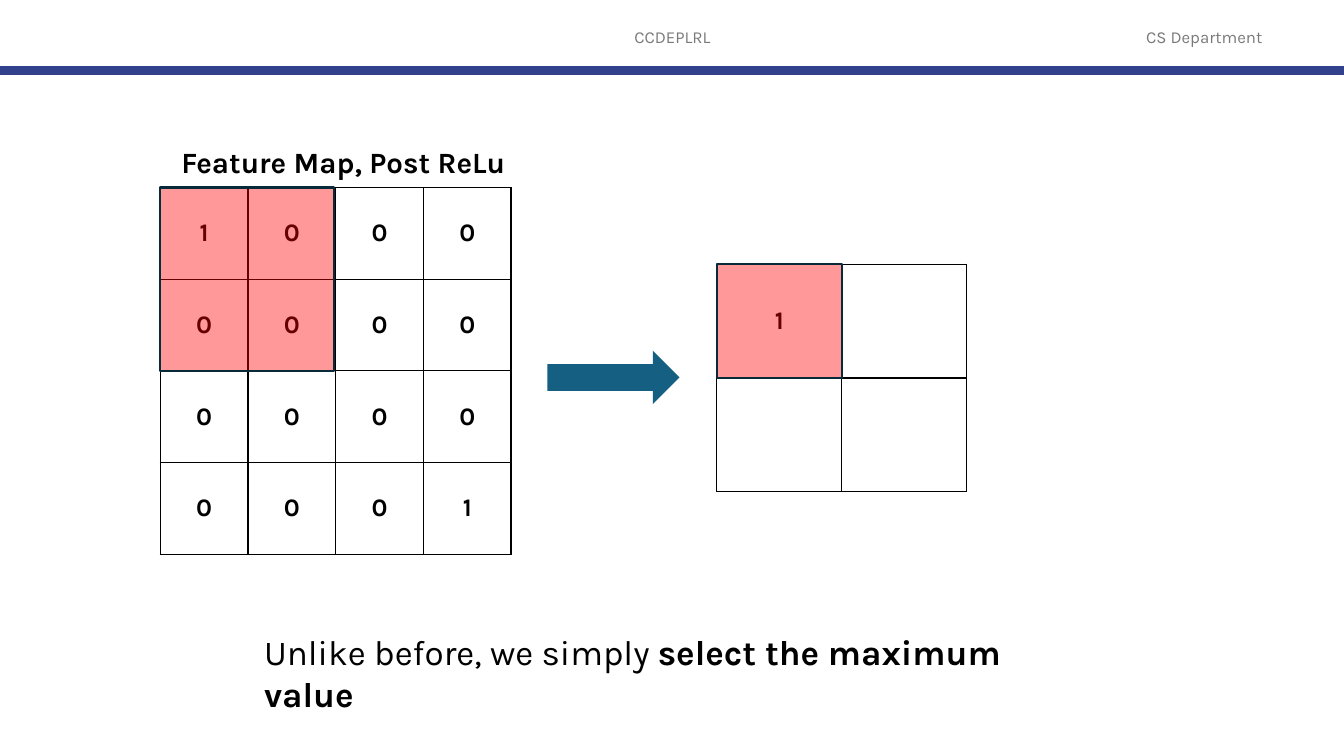
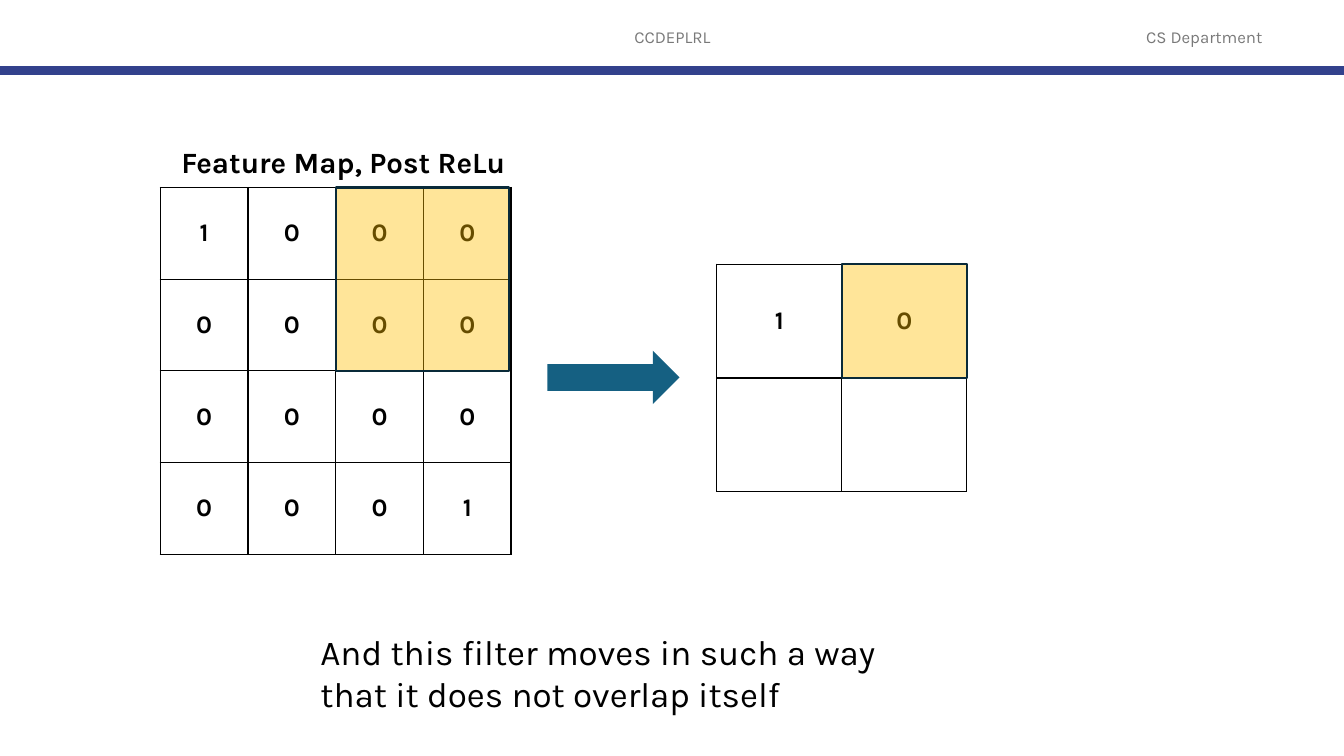
from pptx import Presentation
from pptx.dml.color import RGBColor
from pptx.enum.shapes import MSO_CONNECTOR, MSO_SHAPE
from pptx.enum.text import MSO_ANCHOR, MSO_AUTO_SIZE, PP_ALIGN
from pptx.oxml import parse_xml
from pptx.oxml.ns import nsdecls, qn
from pptx.oxml.xmlchemy import OxmlElement
from pptx.util import Emu, Pt

BLACK = RGBColor(0x00, 0x00, 0x00)
GREY = RGBColor(0x79, 0x79, 0x79)
INDIGO = RGBColor(0x32, 0x41, 0x8C)
TEAL = RGBColor(0x15, 0x60, 0x82)
NAVY = RGBColor(0x09, 0x2A, 0x39)
RED = RGBColor(0xFF, 0x00, 0x00)
AMBER = RGBColor(0xFF, 0xC0, 0x00)

EMU_PER_PX = 9144
SLIDE_WIDTH, SLIDE_HEIGHT = 1333, 750
FONT = "Karla"

FORMATS = {
    "header": {"size": Pt(12), "bold": False, "color": GREY},
    "title": {"size": Pt(21), "bold": True, "color": BLACK},
    "caption": {"size": Pt(25), "bold": False, "color": BLACK},
    "strong": {"size": Pt(25), "bold": True, "color": BLACK},
    "cell": {"size": Pt(18), "bold": True, "color": BLACK},
}

FEATURE_MAP = ["1000", "0000", "0000", "0001"]
MAP_LEFT, MAP_TOP, MAP_CELL_WIDTH, MAP_CELL_HEIGHT = 159, 186, 87, 91
POOL_LEFT, POOL_TOP, POOL_CELL_WIDTH, POOL_CELL_HEIGHT = 711, 262, 124, 113
FILTER_SIZE = 2

STEPS = [
    {
        "filter_column": 0,
        "color": RED,
        "pooled": ["1 ", "  "],
        "caption_box": (252, 621, 848, 52),
        "caption": [
            ("Unlike before, we simply ", "caption"),
            ("select the maximum value", "strong"),
        ],
    },
    {
        "filter_column": 1,
        "color": AMBER,
        "pooled": ["10", "  "],
        "caption_box": (308, 621, 620, 94),
        "caption": [
            (
                "And this filter moves in such a way that it does not overlap itself",
                "caption",
            )
        ],
    },
]


def px(*lengths):
    return [Emu(length * EMU_PER_PX) for length in lengths]


class Deck:
    def __init__(self):
        self.presentation = Presentation()
        self.presentation.slide_width, self.presentation.slide_height = px(
            SLIDE_WIDTH, SLIDE_HEIGHT
        )
        self.slide = None

    def new_slide(self):
        layout = self.presentation.slide_layouts[6]
        self.slide = self.presentation.slides.add_slide(layout)
        for text, left, width in [("CCDEPLRL", 442, 450), ("CS Department", 1092, 205)]:
            self.text(
                (left, 17, width, 40),
                [(text, "header")],
                PP_ALIGN.CENTER,
                MSO_ANCHOR.MIDDLE,
            )
        self.rule(70)

    def style(self, font, format_name):
        font.name = FONT
        for name, value in FORMATS[format_name].items():
            if name == "color":
                font.color.rgb = value
            else:
                setattr(font, name, value)

    def text(self, box, runs, alignment=PP_ALIGN.LEFT, anchor=MSO_ANCHOR.TOP):
        frame = self.slide.shapes.add_textbox(*px(*box)).text_frame
        frame.word_wrap = True
        frame.auto_size = MSO_AUTO_SIZE.NONE
        frame.vertical_anchor = anchor
        paragraph = frame.paragraphs[0]
        paragraph.alignment = alignment
        for content, format_name in runs:
            run = paragraph.add_run()
            run.text = content
            self.style(run.font, format_name)

    def rule(self, top):
        connector = self.slide.shapes.add_connector(
            MSO_CONNECTOR.STRAIGHT, *px(0, top, SLIDE_WIDTH, top)
        )
        connector.line.color.rgb = INDIGO
        connector.line.width = Pt(6)
        connector.element.spPr.append(OxmlElement("a:effectLst"))

    def shape(self, kind, box, color):
        shape = self.slide.shapes.add_shape(kind, *px(*box))
        shape.shadow.inherit = False
        shape.fill.solid()
        shape.fill.fore_color.rgb = color
        shape.line.fill.background()
        return shape

    def arrow(self, box):
        self.shape(MSO_SHAPE.RIGHT_ARROW, box, TEAL)

    def highlight(self, box, color):
        shape = self.shape(MSO_SHAPE.RECTANGLE, box, color)
        shape.line.color.rgb = NAVY
        shape.line.width = Pt(1.5)
        fill_color = shape.element.spPr.find(qn("a:solidFill")).find(qn("a:srgbClr"))
        alpha = OxmlElement("a:alpha")
        alpha.set("val", "40000")
        fill_color.append(alpha)

    def border(self, cell):
        properties = cell._tc.get_or_add_tcPr()
        for side in "LRTB":
            properties.append(
                parse_xml(
                    f'<a:ln{side} {nsdecls("a")} w="{Pt(1)}"><a:solidFill>'
                    f'<a:srgbClr val="{BLACK}"/></a:solidFill></a:ln{side}>'
                )
            )

    def grid(self, left, top, cell_width, cell_height, values):
        rows, columns = len(values), len(values[0])
        table = self.slide.shapes.add_table(
            rows,
            columns,
            *px(left, top, cell_width * columns, cell_height * rows),
        ).table
        table.first_row = False
        table.horz_banding = False
        for column in table.columns:
            column.width = px(cell_width)[0]
        for row, row_values in zip(table.rows, values):
            row.height = px(cell_height)[0]
            for cell, value in zip(row.cells, row_values):
                self.border(cell)
                cell.fill.background()
                cell.vertical_anchor = MSO_ANCHOR.MIDDLE
                paragraph = cell.text_frame.paragraphs[0]
                paragraph.alignment = PP_ALIGN.CENTER
                if value.strip():
                    run = paragraph.add_run()
                    run.text = value
                    self.style(run.font, "cell")

    def pooling_step(self, filter_column, color, pooled, caption_box, caption):
        self.new_slide()
        self.text(caption_box, caption)
        self.grid(MAP_LEFT, MAP_TOP, MAP_CELL_WIDTH, MAP_CELL_HEIGHT, FEATURE_MAP)
        self.text((170, 138, 344, 45), [("Feature Map, Post ReLu", "title")])
        filter_width = FILTER_SIZE * MAP_CELL_WIDTH
        self.highlight(
            (
                MAP_LEFT + filter_column * filter_width,
                MAP_TOP,
                filter_width - 2,
                FILTER_SIZE * MAP_CELL_HEIGHT,
            ),
            color,
        )
        self.grid(POOL_LEFT, POOL_TOP, POOL_CELL_WIDTH, POOL_CELL_HEIGHT, pooled)
        self.highlight(
            (
                POOL_LEFT + filter_column * POOL_CELL_WIDTH,
                POOL_TOP,
                POOL_CELL_WIDTH,
                POOL_CELL_HEIGHT,
            ),
            color,
        )
        self.arrow((543, 348, 131, 53))


def main():
    deck = Deck()
    for step in STEPS:
        deck.pooling_step(**step)
    deck.presentation.save("out.pptx")


if __name__ == "__main__":
    main()
